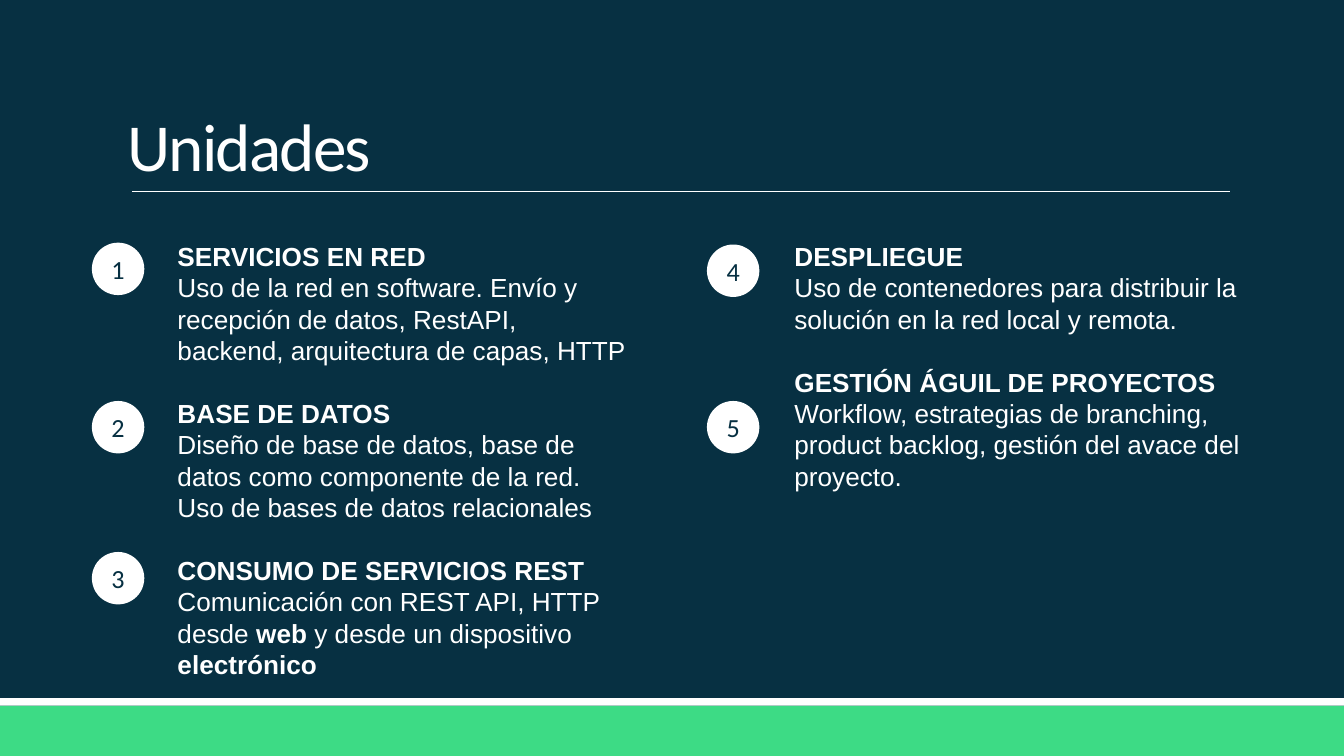
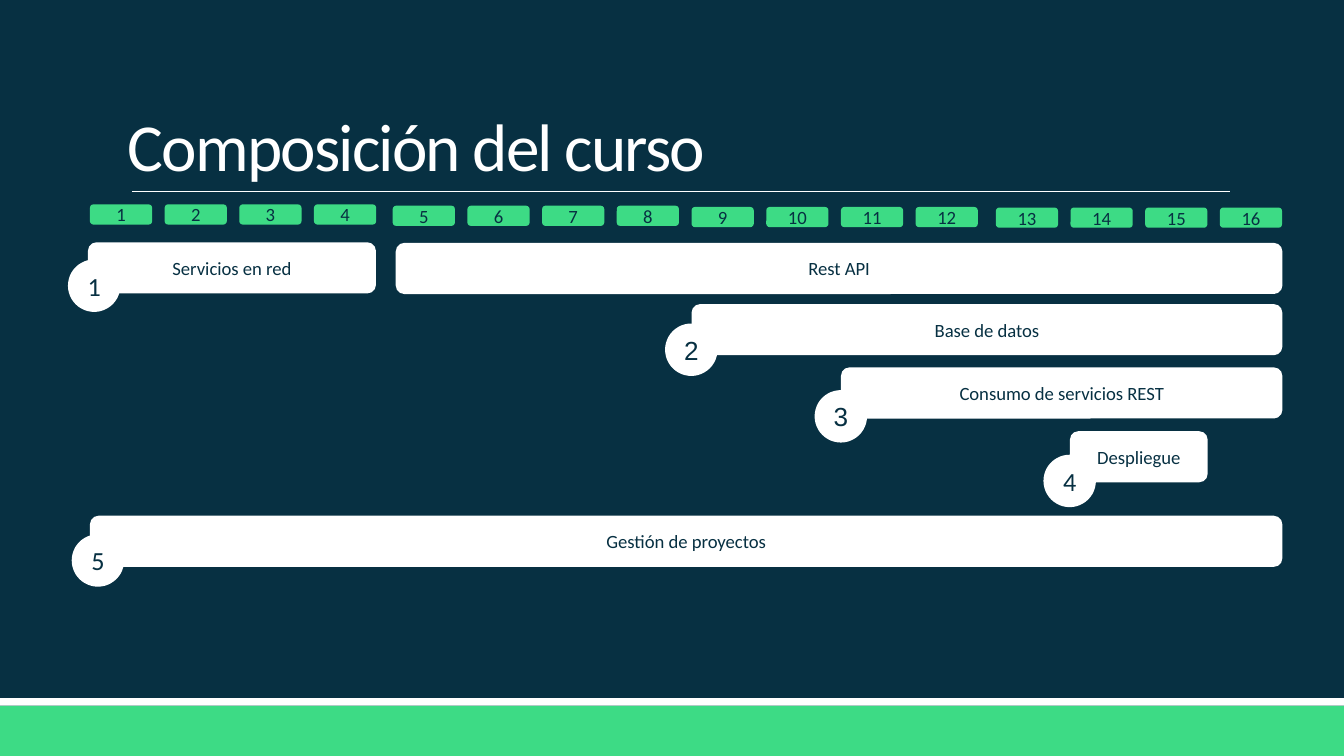
from lxml import etree
from pptx import Presentation
from pptx.dml.color import RGBColor
from pptx.enum.shapes import MSO_CONNECTOR, MSO_SHAPE
from pptx.enum.text import MSO_ANCHOR, MSO_AUTO_SIZE, PP_ALIGN
from pptx.oxml.ns import qn
from pptx.util import Pt

RECT, ROUND, OVAL = MSO_SHAPE.RECTANGLE, MSO_SHAPE.ROUNDED_RECTANGLE, MSO_SHAPE.OVAL
STRAIGHT = MSO_CONNECTOR.STRAIGHT
LEFT, CENTER = PP_ALIGN.LEFT, PP_ALIGN.CENTER
MIDDLE, BOTTOM = MSO_ANCHOR.MIDDLE, MSO_ANCHOR.BOTTOM
NO_FIT = MSO_AUTO_SIZE.NONE

NAVY, GREEN, WHITE = "073042", "3DDB85", "FFFFFF"
WIDE, HIGH = 720, 405
INSET = 3.6
LINE = 16.8
DOT = 28.1
BAR = 27.4

NETWORK = [
    ("SERVICIOS EN RED",
     [("Uso de la red en software. Envío y recepción de datos, RestAPI, "
       "backend, arquitectura de capas, HTTP", False)]),
    ("BASE DE DATOS",
     [("Diseño de base de datos, base de datos como componente de la red. "
       "Uso de bases de datos relacionales", False)]),
    ("CONSUMO DE SERVICIOS REST",
     [("Comunicación con REST API, HTTP desde ", False), ("web", True),
      (" y desde un dispositivo ", False), ("electrónico", True)]),
]
DELIVERY = [
    ("DESPLIEGUE",
     [("Uso de contenedores para distribuir la solución en la red local "
       "y remota.", False)]),
    ("GESTIÓN ÁGUIL DE PROYECTOS",
     [("Workflow, estrategias de branching, product backlog, gestión del "
       "avace del proyecto.", False)]),
]
# number, left, top
UNIT_DOTS = [(1, 49.2, 130), (2, 49.2, 214.8), (3, 49.2, 295.7),
             (4, 378.7, 131), (5, 378.7, 214.8)]
# label, left, top, width
BARS = [
    ("Servicios en red", 47.1, 129.8, 154.3),
    ("Rest API", 212, 130.1, 475),
    ("Base de datos", 370.5, 162.9, 316.5),
    ("Consumo de servicios REST", 450.5, 196.8, 236.5),
    ("Despliegue", 573.2, 231, 73.8),
    ("Gestión de proyectos", 48.2, 276.3, 638.8),
]
# number, left, top, font
BAR_DOTS = [
    (1, 36.4, 139, "Calibri"), (2, 356.3, 173.3, "Arial"),
    (3, 436.4, 209, "Arial"), (4, 559, 243.6, "Calibri"),
    (5, 38.4, 286.2, "Calibri"),
]
# left and top of each block of four weeks
BLOCKS = [(48.2, 109.5), (210.4, 110.2), (370.5, 110.9), (533.5, 111.2)]


def rgb(code):
    return RGBColor.from_string(code)


def style(font, name, size, color):
    font.name, font.size = name, Pt(size)
    font.color.rgb = rgb(color)


def inset(frame, gap):
    frame.margin_left = frame.margin_right = Pt(gap)
    frame.margin_top = frame.margin_bottom = Pt(gap)


def block(slide, kind, left, top, width, height, fill):
    shape = slide.shapes.add_shape(kind, Pt(left), Pt(top), Pt(width), Pt(height))
    shape.shadow.inherit = False
    shape.fill.solid()
    shape.fill.fore_color.rgb = rgb(fill)
    shape.line.fill.background()
    return shape


def label(shape, text, size, font="Calibri"):
    frame = shape.text_frame
    inset(frame, 0)
    frame.word_wrap = False
    frame.vertical_anchor = MIDDLE
    para = frame.paragraphs[0]
    para.text = str(text)
    para.alignment = CENTER
    style(para.font, font, size, NAVY)


def dot(slide, number, left, top, font="Calibri"):
    label(block(slide, OVAL, left, top, DOT, DOT, WHITE), number, 14, font)


def units(slide, left, height, items):
    """Write unit headings, each with its description below."""
    box = slide.shapes.add_textbox(Pt(left), Pt(125.3), Pt(247.7), Pt(height))
    frame = box.text_frame
    frame.word_wrap = True
    inset(frame, INSET)
    for index, (name, parts) in enumerate(items):
        head = frame.add_paragraph() if index else frame.paragraphs[0]
        head.text = name
        if index:
            head.space_before = Pt(LINE)
        body = frame.add_paragraph()
        for text, bold in parts:
            run = body.add_run()
            run.text = text
            run.font.bold = bold
        for para in (head, body):
            para.line_spacing = Pt(LINE)
            style(para.font, "Arial", 14, WHITE)
        head.font.bold = True


def start(deck, text):
    """Add a slide with its bands, rule and title."""
    slide = deck.slides.add_slide(deck.slide_layouts[5])
    block(slide, RECT, 0, 378, WIDE, 27, GREEN)
    block(slide, RECT, 0, 374, WIDE, 4, WHITE)
    rule = slide.shapes.add_connector(STRAIGHT, Pt(70.6), Pt(102.6), Pt(658.8), Pt(102.6))
    rule.line.color.rgb = rgb(WHITE)
    rule.line.width = Pt(0.5)
    etree.SubElement(rule._element.spPr, qn("a:effectLst"))

    title = slide.shapes.title
    title.left, title.top = Pt(64.8), Pt(17)
    title.width, title.height = Pt(594), Pt(85.7)
    frame = title.text_frame
    frame.auto_size = NO_FIT
    frame.vertical_anchor = BOTTOM
    inset(frame, INSET)
    para = frame.paragraphs[0]
    run = para.add_run()
    run.text = text
    para.alignment = LEFT
    para.line_spacing = 0.85
    style(run.font, "Calibri", 36, WHITE)
    run._r.get_or_add_rPr().set("spc", "-100")
    return slide


def topics(deck):
    slide = start(deck, "Unidades")
    units(slide, 91.5, 247, NETWORK)
    units(slide, 422, 167, DELIVERY)
    for spot in UNIT_DOTS:
        dot(slide, *spot)


def course(deck):
    slide = start(deck, "Composición del curso")
    for index in range(16):
        left, top = BLOCKS[index // 4]
        week = block(slide, ROUND, left + 40 * (index % 4), top, 33.3, 10.8, GREEN)
        label(week, index + 1, 10)
    for text, left, top, width in BARS:
        label(block(slide, ROUND, left, top, width, BAR, WHITE), text, 10)
    for spot in BAR_DOTS:
        dot(slide, *spot)


def main():
    deck = Presentation()
    deck.slide_width, deck.slide_height = Pt(WIDE), Pt(HIGH)
    back = deck.slide_master.background.fill
    back.solid()
    back.fore_color.rgb = rgb(NAVY)
    topics(deck)
    course(deck)
    deck.save("out.pptx")


if __name__ == "__main__":
    main()
